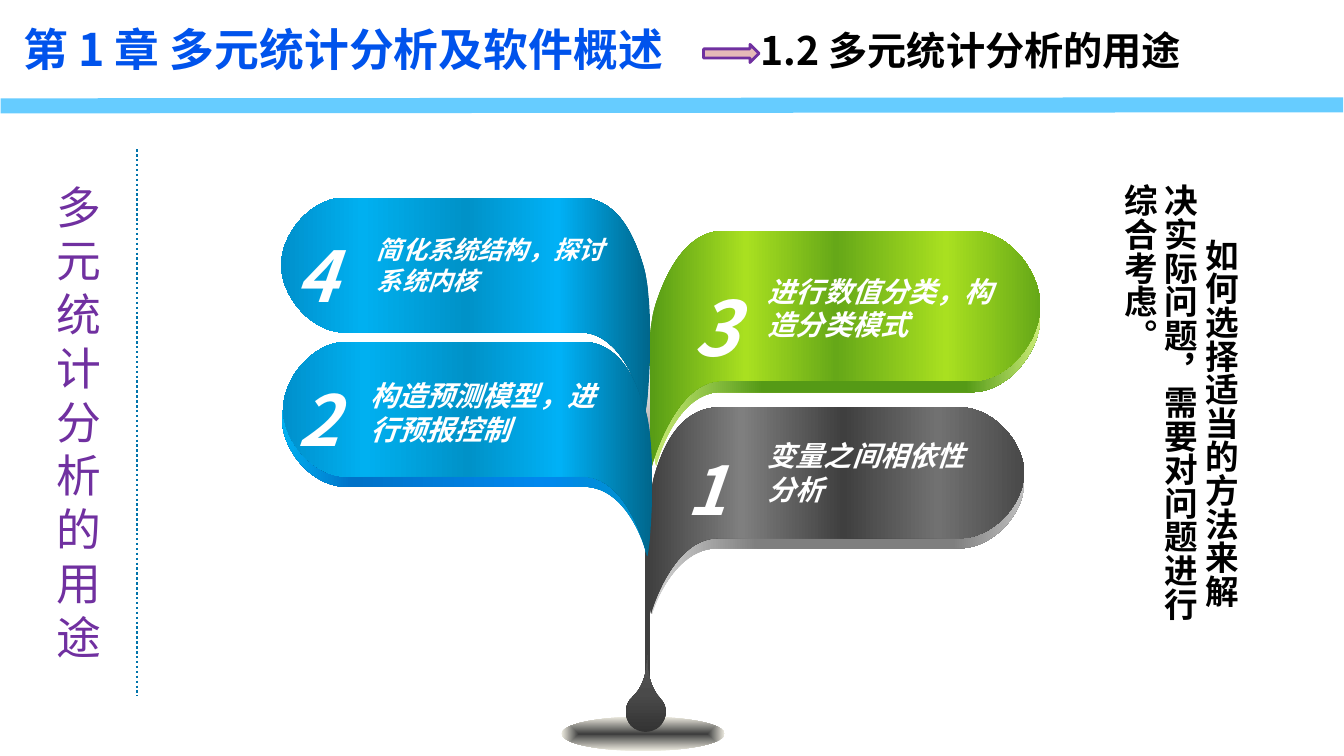
from dataclasses import dataclass
from typing import NamedTuple, Optional

from lxml.etree import SubElement
from pptx import Presentation
from pptx.dml.color import RGBColor
from pptx.enum.dml import MSO_LINE_DASH_STYLE as Dash
from pptx.enum.shapes import MSO_CONNECTOR_TYPE as Connector, MSO_SHAPE as Preset
from pptx.enum.text import MSO_ANCHOR as Anchor, PP_ALIGN as Align
from pptx.oxml.ns import qn
from pptx.util import Inches, Pt

# The slide is a grid of square cells, 133.33 columns by 75 rows.
COLUMNS, ROWS = 133.33, 75
CELL = Inches(0.1)
EXTENT_STEPS = 20
LINE_PITCH = 1.2
DIGIT_PITCH = 1.56

Stops = tuple[tuple[int, str], ...]
Point = tuple[float, float]
Pieces = list[tuple[Point, ...]]


class Box(NamedTuple):
    column: float
    row: float
    columns: float
    rows: float


@dataclass(frozen=True)
class Theme:
    cjk: str = "Noto Sans CJK SC"
    cjk_side: str = "Noto Sans CJK JP"
    arial: str = "Arial"
    calibri: str = "Calibri"
    black: str = "000000"
    white: str = "FFFFFF"
    chapter: str = "0053EC"
    purple: str = "7030A0"
    pink: str = "E6B9B8"
    sky: str = "66CCFF"
    dots: str = "0174AB"
    heading_size: int = 32
    section_size: int = 28
    remark_size: int = 24
    caption_size: int = 20
    small_caption_size: int = 18
    green_front: Stops = ((0, "559A16"), (25, "A9E020"), (48, "66A818"), (76, "A9E020"), (100, "66A818"))
    green_back: Stops = ((0, "CBEC78"), (29, "559A16"), (81, "559A16"), (100, "CBEC78"))
    grey_front: Stops = ((0, "3F3F3F"), (25, "7F7F7F"), (52, "3F3F3F"), (77, "717171"), (100, "494949"))
    grey_back: Stops = ((0, "D8D8D8"), (29, "7F7F7F"), (81, "7F7F7F"), (100, "BFBFBF"))
    blue_front: Stops = ((0, "00668B"), (25, "00B1F6"), (50, "0092C8"), (78, "00B0F0"), (100, "0090CC"))
    blue_back: Stops = ((0, "0092C8"), (29, "0088EE"), (81, "0072C8"), (100, "00B0F0"))
    stem: Stops = ((0, "3F3F3F"), (53, "3F3F3F"), (100, "FFFFFF"))
    drop: Stops = ((0, "333333"), (50, "4A4A4A"), (100, "595959"))
    ground: Stops = ((0, "3F3F3F"), (100, "EEECE1"))


THEME = Theme()


@dataclass(frozen=True)
class Blade:
    """One layer of a leaf; side is 1 when it grows right and -1 when left."""
    side: int
    stem: float
    outer: float
    top: float
    height: float
    radius: float
    tip: Point
    stops: Stops


@dataclass(frozen=True)
class Leaf:
    blades: tuple[Blade, ...]
    digit: str
    digit_box: Box
    digit_size: int
    caption: str
    caption_box: Box
    caption_size: int
    caption_font: str


RIGHT_LEAVES = (
    Leaf((Blade(1, 65, 103.2, 24, 14.9, 6.8, (65.1, 46.2), THEME.green_back),
          Blade(1, 65, 103.2, 22.9, 14.9, 6.8, (64.7, 46.2), THEME.green_front)),
         "3", Box(67.8, 24.7, 8.7, 12.7), 54,
         "进行数值分类，构造分类模式", Box(75.2, 26.7, 25.9, 7.9), THEME.caption_size, THEME.arial),
    Leaf((Blade(1, 65, 101.6, 41.4, 13, 6.5, (64.7, 60.9), THEME.grey_back),
          Blade(1, 65, 101.6, 40.4, 13, 6.5, (64.6, 60.9), THEME.grey_front)),
         "1", Box(67.1, 41.6, 8.7, 11.4), 48,
         "变量之间相依性分析", Box(75.2, 43, 22.6, 7.9), THEME.caption_size, THEME.arial),
)
LEFT_LEAVES = (
    Leaf((Blade(-1, 64, 28, 34.9, 13.4, 6.4, (64.1, 54.9), THEME.blue_back),
          Blade(-1, 64, 28.1, 33.9, 13.4, 6.4, (64.2, 55.2), THEME.blue_front)),
         "2", Box(28.5, 34.4, 11.3, 11.8), 50,
         "构造预测模型，进行预报控制", Box(35.8, 37.1, 25.9, 7.9), THEME.caption_size, THEME.calibri),
    Leaf((Blade(-1, 63.8, 27.9, 19.6, 13.4, 6.4, (64, 40.9), THEME.blue_front),),
         "4", Box(28.3, 20.1, 11.3, 11.8), 50,
         "简化系统结构，探讨系统内核", Box(36.4, 22.8, 25.9, 7.2), THEME.small_caption_size, THEME.arial),
)


def cells(*counts: float) -> list[int]:
    return [round(count * CELL) for count in counts]


def fill_gradient(shape, stops: Stops, angle: Optional[int]) -> None:
    """Fill without an outline; no angle means a gradient towards the centre."""
    shape.shadow.inherit = False
    shape.line.fill.background()
    shape.fill.gradient()
    gradient = shape._element.spPr.find(qn("a:gradFill"))
    for child in list(gradient):
        gradient.remove(child)
    stop_list = SubElement(gradient, qn("a:gsLst"))
    for percent, colour in stops:
        stop = SubElement(stop_list, qn("a:gs"), pos=str(percent * 1000))
        SubElement(stop, qn("a:srgbClr"), val=colour)
    if angle is None:
        centre = SubElement(gradient, qn("a:path"), path="shape")
        SubElement(centre, qn("a:fillToRect"), dict.fromkeys("ltrb", "50000"))
    else:
        SubElement(gradient, qn("a:lin"), ang=str(angle * 60000), scaled="0")


def curve_points(*controls: Point) -> list[Point]:
    points = []
    for step in range(1, EXTENT_STEPS + 1):
        t = step / EXTENT_STEPS
        weights = ((1 - t) ** 3, 3 * t * (1 - t) ** 2, 3 * t * t * (1 - t), t ** 3)
        points.append(tuple(sum(w * c[axis] for w, c in zip(weights, controls)) for axis in (0, 1)))
    return points


def add_outline(shapes, start: Point, pieces: Pieces, stops: Stops, angle: int, flipped: bool = False) -> None:
    """Size a freeform by the extent of its pieces, then make them true curves and lines."""
    extent, here = [], start
    for piece in pieces:
        extent += curve_points(here, *piece) if len(piece) == 3 else piece
        here = piece[-1]
    builder = shapes.build_freeform(*cells(*start), scale=1.0)
    builder.add_line_segments([tuple(cells(*point)) for point in extent], close=True)
    shape = builder.convert_to_shape()
    outline = next(shape._element.iter(qn("a:path")))
    for child in list(outline):
        outline.remove(child)
    for tag, piece in [("moveTo", (start,))] + [("cubicBezTo" if len(p) == 3 else "lnTo", p) for p in pieces]:
        command = SubElement(outline, qn(f"a:{tag}"))
        for point in piece:
            x, y = cells(*point)
            x = shape.left + shape.width - x if flipped else x - shape.left
            SubElement(command, qn("a:pt"), x=str(x), y=str(y - shape.top))
    SubElement(outline, qn("a:close"))
    if flipped:
        shape._element.spPr.find(qn("a:xfrm")).set("flipH", "1")
    fill_gradient(shape, stops, angle)


def add_blade(shapes, blade: Blade) -> None:
    side, stem, outer, top = blade.side, blade.stem, blade.outer, blade.top
    bottom, middle = top + blade.height, top + blade.height / 2
    shoulder, cap = stem + side * blade.radius, outer - side * blade.radius
    bulge_x, bulge_y = cap + side * blade.radius * 0.55, blade.height * 0.225
    tip_x, tip_y = blade.tip
    pieces = [
        ((stem + side * 1.1, middle - 3.5), (shoulder - side * 3.6, top), (shoulder, top)),
        ((cap, top),),
        ((bulge_x, top), (outer, middle - bulge_y), (outer, middle)),
        ((outer, middle + bulge_y), (bulge_x, bottom), (cap, bottom)),
        ((shoulder, bottom),),
        ((shoulder - side * 4.7, bottom - 0.3), (tip_x, tip_y - 0.2), blade.tip),
        ((tip_x - side * 0.4, tip_y - 1.2), (stem - side * 1.2, middle + 3.8), (stem, middle)),
    ]
    add_outline(shapes, (stem, middle), pieces, blade.stops, 0, side < 0)


def write(shape, text: str, size: int, face: str, colour: str, align=Align.LEFT,
          pitch: float = LINE_PITCH, **font_format: bool) -> None:
    frame = shape.text_frame
    frame.word_wrap, frame.vertical_anchor = True, Anchor.TOP
    paragraph = frame.paragraphs[0]
    paragraph.alignment, paragraph.line_spacing = align, Pt(size * pitch)
    run = paragraph.add_run()
    run.text = text
    for attribute, value in {"size": Pt(size), "name": face, **font_format}.items():
        setattr(run.font, attribute, value)
    run.font.color.rgb = RGBColor.from_string(colour)
    east_asian = face if face.startswith("Noto") else THEME.cjk
    SubElement(run._r.get_or_add_rPr(), qn("a:ea"), typeface=east_asian)


def add_leaf(shapes, leaf: Leaf) -> None:
    for blade in leaf.blades:
        add_blade(shapes, blade)
    style = {"bold": True, "italic": True}
    write(shapes.add_textbox(*cells(*leaf.caption_box)), leaf.caption, leaf.caption_size,
          leaf.caption_font, THEME.white, **style)
    write(shapes.add_textbox(*cells(*leaf.digit_box)), leaf.digit, leaf.digit_size,
          THEME.cjk, THEME.white, pitch=DIGIT_PITCH, **style)


def add_stem(shapes) -> None:
    stem = shapes.add_shape(Preset.RECTANGLE, *cells(64, 36.3, 0.5, 31.5))
    fill_gradient(stem, THEME.stem, 270)
    base = (62.6, 72)
    pieces = [((61.9, 71.2), (61.9, 69.9), (62.7, 69.2)), ((63.7, 68.3), (64.2, 66.9), (64.2, 65)),
              ((64.2, 66.9), (64.6, 68.3), (65.5, 69.3)), ((66.3, 70.1), (66.2, 71.3), (65.4, 72.1)),
              ((64.6, 72.8), (63.4, 72.8), base)]
    add_outline(shapes, base, pieces, THEME.drop, 270)


def add_rule(shapes, start: Point, end: Point, colour: str, width: float):
    rule = shapes.add_connector(Connector.STRAIGHT, *cells(*start, *end))
    rule.line.color.rgb = RGBColor.from_string(colour)
    rule.line.width = Pt(width)
    SubElement(rule._element.spPr, qn("a:effectLst"))
    return rule


def main() -> None:
    deck = Presentation()
    deck.slide_width, deck.slide_height = cells(COLUMNS, ROWS)
    shapes = deck.slides.add_slide(deck.slide_layouts[5]).shapes

    chapter = shapes.title
    chapter.left, chapter.top, chapter.width, chapter.height = cells(1.3, 1.7, 68.6, 6.4)
    write(chapter, "第 1 章 多元统计分析及软件概述", THEME.heading_size, THEME.cjk, THEME.chapter, bold=True)
    write(shapes.add_textbox(*cells(74.5, 2.1, 47.4, 6)), "1.2 多元统计分析的用途",
          THEME.section_size, THEME.cjk, THEME.black, bold=True)
    header_rule = add_rule(shapes, (0.8, 10.5), (132.5, 10.4), THEME.sky, 10.75)
    header_rule.line._get_or_add_ln().set("cap", "sq")
    arrow = shapes.add_shape(Preset.RIGHT_ARROW, *cells(69.8, 4.4, 5.5, 1.8))
    arrow.shadow.inherit = False
    arrow.fill.solid()
    arrow.fill.fore_color.rgb = RGBColor.from_string(THEME.pink)
    arrow.line.color.rgb = RGBColor.from_string(THEME.purple)
    arrow.line.width = Pt(2)

    write(shapes.add_textbox(*cells(3.4, 17.3, 8.8, 49.4)), "多元统计分析的用途",
          THEME.heading_size, THEME.cjk, THEME.purple, Align.CENTER)
    add_rule(shapes, (13.6, 14.8), (13.6, 69), THEME.dots, 1.75).line.dash_style = Dash.ROUND_DOT

    fill_gradient(shapes.add_shape(Preset.OVAL, *cells(55.7, 71.1, 16.2, 3.4)), THEME.ground, None)
    for leaf in RIGHT_LEAVES:
        add_leaf(shapes, leaf)
    add_stem(shapes)
    for leaf in LEFT_LEAVES:
        add_leaf(shapes, leaf)

    remark = shapes.add_textbox(*cells(109.6, 17.3, 14, 47.2))
    write(remark, "如何选择适当的方法来解决实际问题，需要对问题进行综合考虑。",
          THEME.remark_size, THEME.cjk_side, THEME.black, bold=True)
    remark.text_frame._txBody.bodyPr.set("vert", "eaVert")
    remark.text_frame.paragraphs[0]._p.get_or_add_pPr().set("indent", str(cells(5.4)[0]))

    deck.save("out.pptx")


if __name__ == "__main__":
    main()
